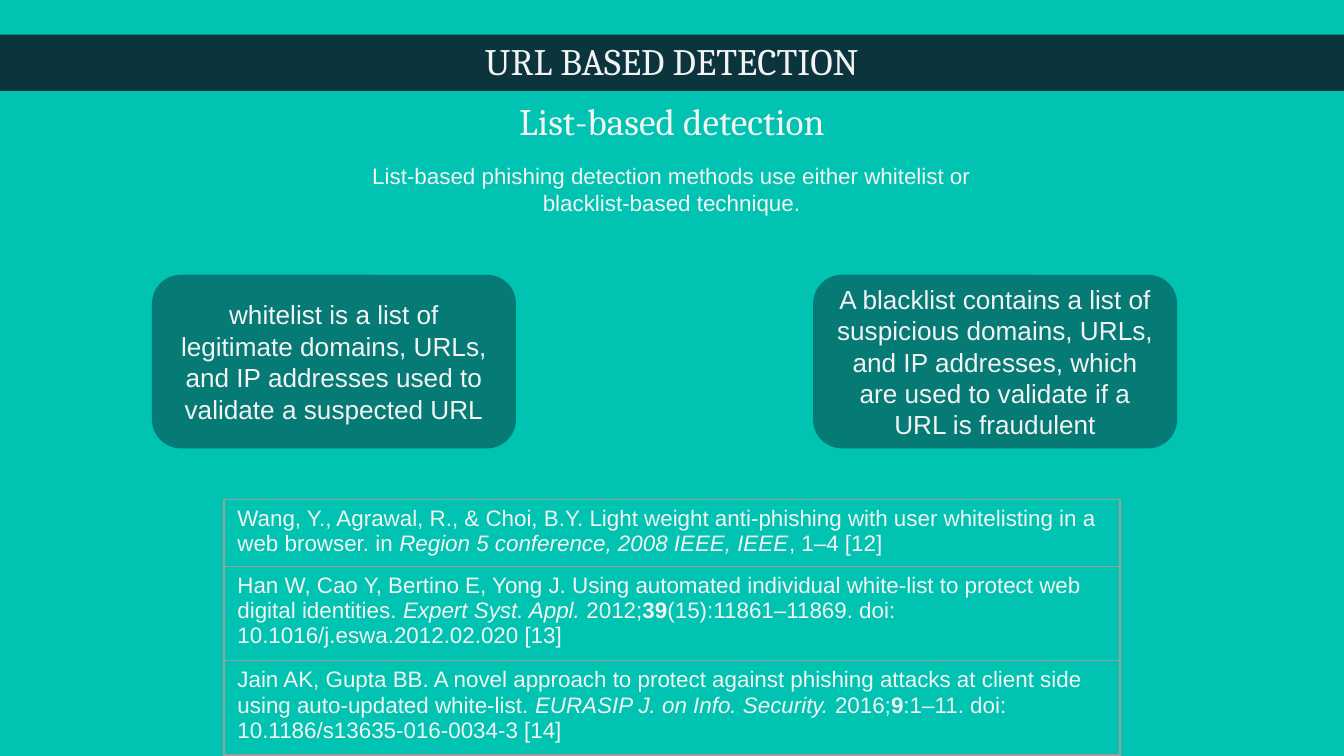
from lxml import etree
from pptx import Presentation
from pptx.dml.color import RGBColor
from pptx.enum.shapes import MSO_SHAPE
from pptx.enum.text import MSO_ANCHOR, MSO_AUTO_SIZE, PP_ALIGN
from pptx.oxml import parse_xml
from pptx.oxml.ns import nsdecls, qn
from pptx.util import Pt

RECT = MSO_SHAPE.RECTANGLE
ROUND = MSO_SHAPE.ROUNDED_RECTANGLE
MIDDLE = MSO_ANCHOR.MIDDLE
TOP = MSO_ANCHOR.TOP
GROW = MSO_AUTO_SIZE.SHAPE_TO_FIT_TEXT
CENTER = PP_ALIGN.CENTER

COLORS = {"back": "00C3B1", "dark": "0C343D", "text": "F3F3F3", "border": "9E9E9E"}


def style(para, size, face="Arial"):
    para.font.size = Pt(size)
    para.font.name = face
    para.font.color.rgb = RGBColor.from_string(COLORS["text"])


def write(shape, text, size, face="Arial", anchor=TOP):
    """Fill a shape with one centred paragraph and return the paragraph."""
    frame = shape.text_frame
    frame.word_wrap = True
    frame.vertical_anchor = anchor
    para = frame.paragraphs[0]
    para.text = text
    para.alignment = CENTER
    style(para, size, face)
    return para


deck = Presentation()
deck.slide_width, deck.slide_height = Pt(720), Pt(405)
slide = deck.slides.add_slide(deck.slide_layouts[6])
slide.background.fill.solid()
slide.background.fill.fore_color.rgb = RGBColor.from_string(COLORS["back"])
shapes = slide.shapes

# Heading, with its band, and subheading
band = shapes.add_shape(RECT, 0, Pt(18.5), Pt(720), Pt(30.2))
band.shadow.inherit = False
band.fill.solid()
band.fill.fore_color.rgb = RGBColor.from_string(COLORS["dark"])
band.line.fill.background()
head = shapes.add_textbox(0, Pt(50.4), Pt(720), Pt(30.2))
for box, text in ((band, "URL BASED DETECTION"), (head, "List-based detection")):
    para = write(box, text, 20, "Cambria")
    para.line_spacing = Pt(22.5)
    para.space_after = Pt(10)
    box.text_frame.auto_size = GROW

intro = shapes.add_textbox(Pt(178.8), Pt(83.5), Pt(362), Pt(36))
write(intro, "List-based phishing detection methods use either whitelist or "
      "blacklist-based technique.", 12)
intro.text_frame.auto_size = GROW

# References: each run is its text and its style
REFS = [
    [("Wang, Y., Agrawal, R., & Choi, B.Y. Light weight anti-phishing with user "
      "whitelisting in a web browser. in ", ""),
     ("Region 5 conference, 2008 IEEE, IEEE", "italic"),
     (", 1–4 [12]", "")],
    [("Han W, Cao Y, Bertino E, Yong J. Using automated individual white-list to "
      "protect web digital identities. ", ""),
     ("Expert Syst. Appl. ", "italic"),
     ("2012;", ""),
     ("39", "bold"),
     ("(15):11861–11869. doi: 10.1016/j.eswa.2012.02.020 [13]", "")],
    [("Jain AK, Gupta BB. A novel approach to protect against phishing attacks at "
      "client side using auto-updated white-list. ", ""),
     ("EURASIP J. on Info. Security. ", "italic"),
     ("2016;", ""),
     ("9", "bold"),
     (":1–11. doi: 10.1186/s13635-016-0034-3 [14]", "")],
]
HEIGHTS = [36, 50.4, 50.4]
table = shapes.add_table(len(REFS), 1, Pt(120), Pt(267.6), Pt(480),
                         Pt(sum(HEIGHTS))).table
table.first_row = table.horz_banding = False
for row, height, ref in zip(table.rows, HEIGHTS, REFS):
    row.height = Pt(height)
    cell = row.cells[0]
    para = cell.text_frame.paragraphs[0]
    style(para, 12)
    for text, look in ref:
        run = para.add_run()
        run.text = text
        run.font.italic = look == "italic"
        run.font.bold = look == "bold"
    props = cell._tc.get_or_add_tcPr()
    for side in ("lnL", "lnR", "lnT", "lnB"):
        props.append(parse_xml(
            f'<a:{side} {nsdecls("a")} w="{Pt(0.75)}"><a:solidFill>'
            f'<a:srgbClr val="{COLORS["border"]}"/></a:solidFill></a:{side}>'))
    cell.fill.background()

# Half-transparent cards
CARDS = [
    (435.6, "A blacklist contains a list of suspicious domains, URLs, and IP "
            "addresses, which are used to validate if a URL is fraudulent"),
    (81.4, "whitelist is a list of legitimate domains, URLs, and IP addresses "
           "used to validate a suspected URL"),
]
for left, text in CARDS:
    card = shapes.add_shape(ROUND, Pt(left), Pt(147.2), Pt(195), Pt(93))
    card.shadow.inherit = False
    card.fill.solid()
    card.fill.fore_color.rgb = RGBColor.from_string(COLORS["dark"])
    tint = card._element.spPr.find(qn("a:solidFill"))[0]
    etree.SubElement(tint, qn("a:alpha"), val="50000")
    card.line.fill.background()
    write(card, text, 14, anchor=MIDDLE)

deck.save("out.pptx")
